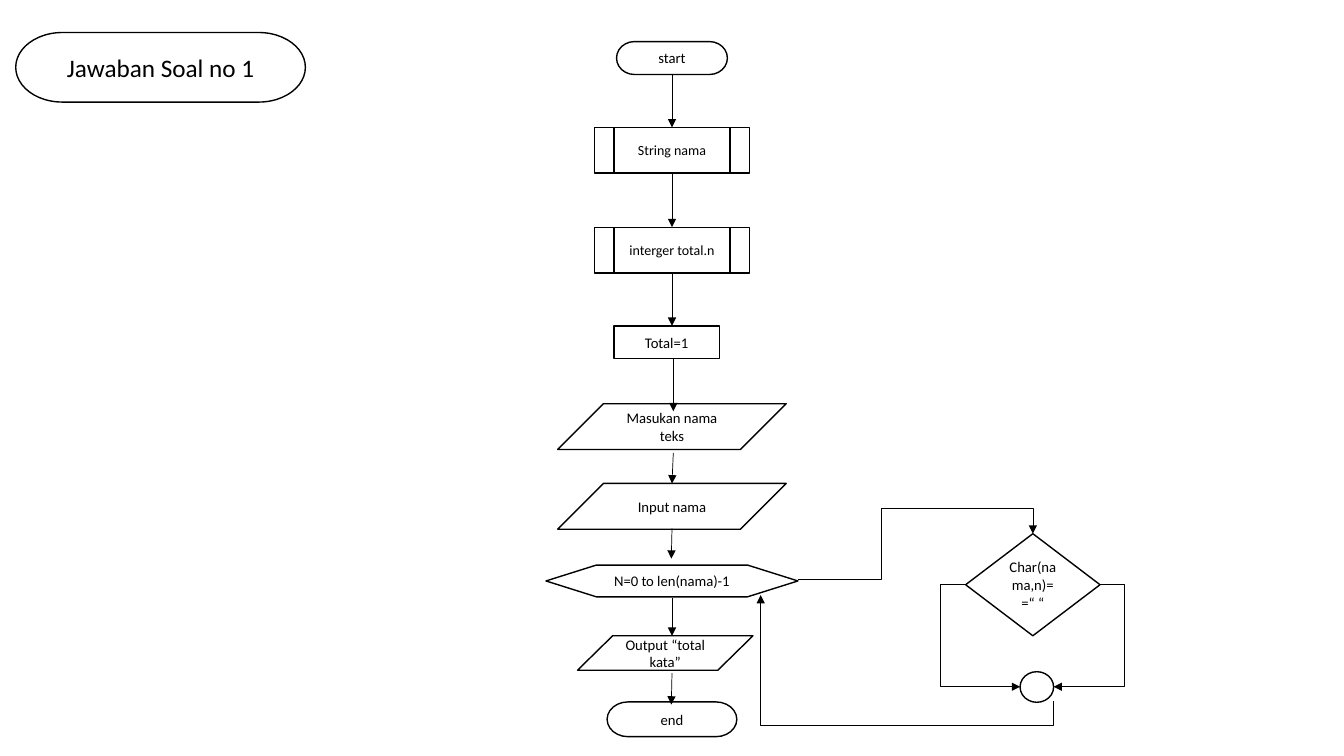
from dataclasses import dataclass
from typing import Optional

from lxml import etree
from pptx import Presentation
from pptx import util as u
from pptx.dml.color import RGBColor
from pptx.enum import shapes, text
from pptx.oxml import ns

INK, PAPER = "000000", "FFFFFF"
FONT = "Calibri"
MIDDLE = 50.0  # column on which the main flow is centred
Kind = shapes.MSO_SHAPE
Point = tuple[float, float]

presentation = Presentation()
presentation.slide_width = u.Inches(13.33)
presentation.slide_height = u.Inches(7.5)
slide = presentation.slides.add_slide(presentation.slide_layouts[6])

# Grid of 100 columns by 100 rows
COLUMN = presentation.slide_width / 100
ROW = presentation.slide_height / 100


@dataclass
class Node:
    kind: Kind
    label: str
    top: float
    width: float
    height: float
    center: float = MIDDLE
    size: float = 10.5


@dataclass
class Arrow:
    begin: Point
    end: Point


@dataclass
class Elbow(Arrow):
    turn: float  # column of the first bend, or its row when upright
    second_turn: Optional[float] = None
    upright: bool = False


def color(value: str) -> RGBColor:
    return RGBColor.from_string(value)


def draw_node(node: Node) -> None:
    shape = slide.shapes.add_shape(
        node.kind,
        u.Emu(round((node.center - node.width / 2) * COLUMN)),
        u.Emu(round(node.top * ROW)),
        u.Emu(round(node.width * COLUMN)),
        u.Emu(round(node.height * ROW)),
    )
    shape.shadow.inherit = False
    shape.fill.solid()
    shape.fill.fore_color.rgb = color(PAPER)
    shape.line.color.rgb = color(INK)
    shape.line.width = u.Pt(1)
    if not node.label:
        return
    frame = shape.text_frame
    frame.word_wrap = True
    frame.vertical_anchor = text.MSO_ANCHOR.MIDDLE
    paragraph = frame.paragraphs[0]
    paragraph.alignment = text.PP_ALIGN.CENTER
    run = paragraph.add_run()
    run.text = node.label
    run.font.name = FONT
    run.font.size = u.Pt(node.size)
    run.font.color.rgb = color(INK)


def add_arrow(kind: shapes.MSO_CONNECTOR, begin: Point, end: Point):
    ends = [u.Emu(round(length)) for length in (*begin, *end)]
    connector = slide.shapes.add_connector(kind, *ends)
    connector.line.color.rgb = color(INK)
    connector.line.width = u.Pt(0.5)
    properties = connector.element.spPr
    outline = properties.find(ns.qn("a:ln"))
    etree.SubElement(outline, ns.qn("a:tailEnd"), type="triangle")
    etree.SubElement(properties, ns.qn("a:effectLst"))
    return connector


def to_slide(point: Point) -> Point:
    return point[0] * COLUMN, point[1] * ROW


def draw_arrow(arrow: Arrow) -> None:
    add_arrow(shapes.MSO_CONNECTOR.STRAIGHT, to_slide(arrow.begin), to_slide(arrow.end))


def draw_elbow(elbow: Elbow) -> None:
    begin, end = to_slide(elbow.begin), to_slide(elbow.end)
    first = 1 if elbow.upright else 0
    bends = [(elbow.turn, first)]
    if elbow.second_turn is not None:
        bends.append((elbow.second_turn, 1 - first))

    # An upright elbow is laid down around its centre, then turned by 90 degrees
    if elbow.upright:
        x, y = (begin[0] + end[0]) / 2, (begin[1] + end[1]) / 2
        begin, end = [(x + py - y, y - px + x) for px, py in (begin, end)]
    connector = add_arrow(shapes.MSO_CONNECTOR.ELBOW, begin, end)
    if elbow.upright:
        connector.element.spPr.find(ns.qn("a:xfrm")).set("rot", str(90 * 60000))

    # Each bend is a share of the distance between the two ends
    geometry = connector.element.spPr.find(ns.qn("a:prstGeom"))
    geometry.set("prst", f"bentConnector{len(bends) + 2}")
    guides = geometry.find(ns.qn("a:avLst"))
    for number, (turn, axis) in enumerate(bends, 1):
        share = (turn - elbow.begin[axis]) / (elbow.end[axis] - elbow.begin[axis])
        etree.SubElement(guides, ns.qn("a:gd"), name=f"adj{number}",
                         fmla=f"val {round(share * 100000)}")


NODES = [
    # Title
    Node(Kind.FLOWCHART_TERMINATOR, "Jawaban Soal no 1", 4.3, 21.55, 9.2, 11.95, 18),
    # Main flow
    Node(Kind.FLOWCHART_TERMINATOR, "start", 5.5, 8.25, 4.35),
    Node(Kind.FLOWCHART_PREDEFINED_PROCESS, "String nama", 16.85, 11.5, 6.05, size=10),
    Node(Kind.FLOWCHART_PREDEFINED_PROCESS, "interger total.n", 30.05, 11.5, 6.05, size=10),
    Node(Kind.RECTANGLE, "Total=1", 43.1, 7.85, 4.35, 49.6),
    Node(Kind.FLOWCHART_DATA, "Masukan nama teks", 53.4, 17, 6.05),
    Node(Kind.FLOWCHART_DATA, "Input nama", 63.95, 17, 6.05),
    Node(Kind.FLOWCHART_PREPARATION, "N=0 to len(nama)-1", 74.75, 18.75, 4.2),
    Node(Kind.FLOWCHART_DATA, "Output “total kata”", 84.1, 13.05, 4.55, 49.5),
    Node(Kind.FLOWCHART_TERMINATOR, "end", 92.85, 9.65, 4.6),
    # Loop body
    Node(Kind.FLOWCHART_DECISION, "Char(nama,n)==“ “", 70.6, 10, 13.5, 76.85),
    Node(Kind.FLOWCHART_CONNECTOR, "", 88.85, 2.5, 4.05, 77.15),
]

ARROWS = [
    Arrow((MIDDLE, 9.85), (MIDDLE, 16.85)),
    Arrow((MIDDLE, 22.9), (MIDDLE, 30.05)),
    Arrow((MIDDLE, 36.05), (MIDDLE, 43.1)),
    Arrow((50.1, 47.35), (50.1, 54.4)),
    Arrow((50.1, 59.9), (MIDDLE, 63.95)),
    Arrow((MIDDLE, 69.9), (49.95, 73.9)),
    Arrow((MIDDLE, 79.05), (MIDDLE, 84.1)),
    Arrow((MIDDLE, 89.05), (49.95, 93.2)),
]

ELBOWS = [
    # Both branches of the decision
    Elbow((81.85, 77.35), (78.4, 90.85), 83.7),
    Elbow((71.85, 77.35), (75.9, 90.85), 70),
    # Into the loop body and back
    Elbow((59.35, 76.65), (76.85, 70.6), 65.55, 67.2),
    Elbow((78.4, 92.7), (56.6, 78.7), 96, upright=True),
]

for node in NODES:
    draw_node(node)
for arrow in ARROWS:
    draw_arrow(arrow)
for elbow in ELBOWS:
    draw_elbow(elbow)

presentation.save("out.pptx")
